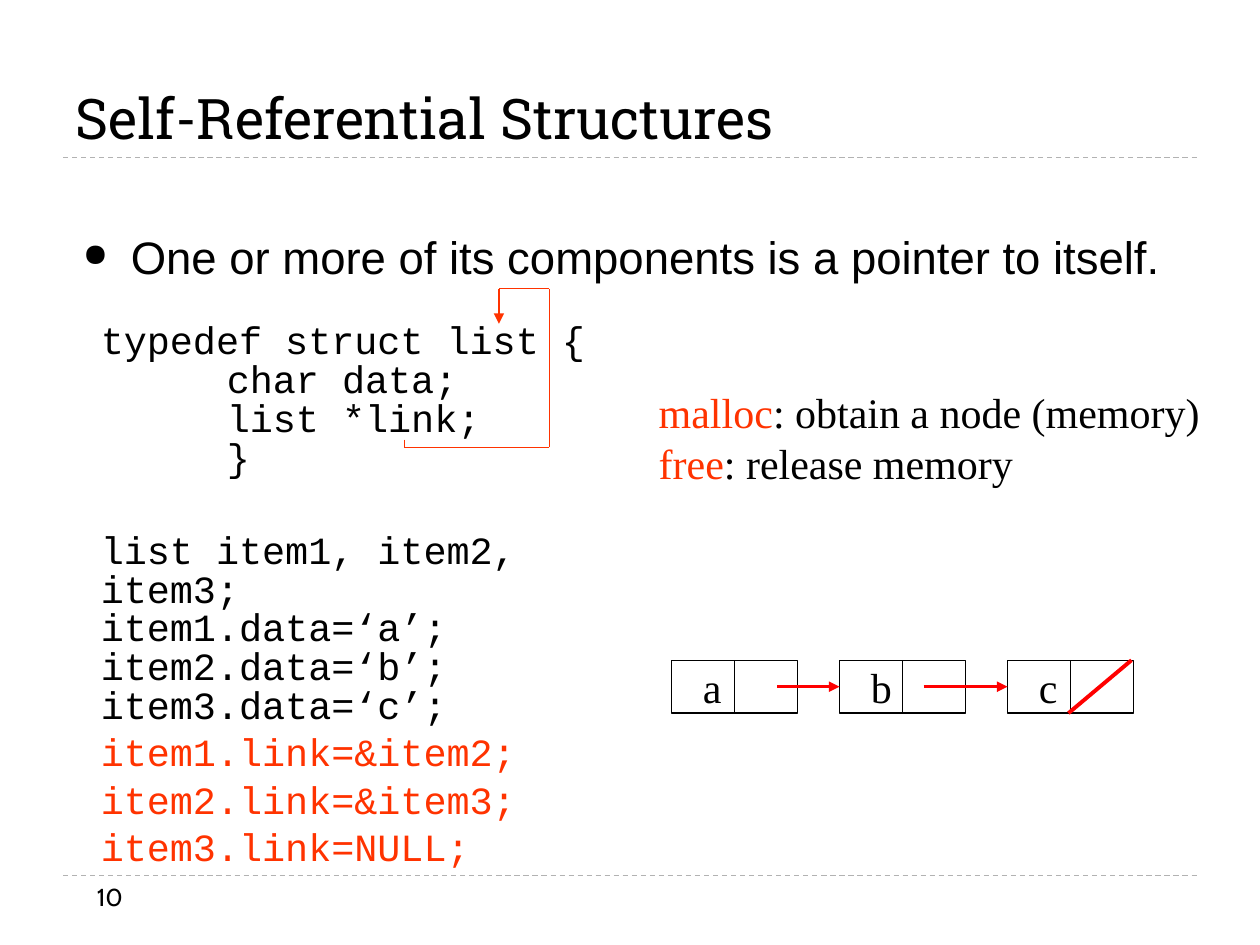
from itertools import pairwise

from lxml import etree
from pptx import Presentation
from pptx.dml.color import RGBColor
from pptx.enum.dml import MSO_LINE
from pptx.enum.shapes import MSO_CONNECTOR, MSO_SHAPE
from pptx.enum.text import MSO_ANCHOR, MSO_AUTO_SIZE, PP_ALIGN
from pptx.oxml.ns import qn
from pptx.util import Inches, Pt

STRAIGHT = MSO_CONNECTOR.STRAIGHT
RECTANGLE = MSO_SHAPE.RECTANGLE
DASH = MSO_LINE.DASH
LEFT = PP_ALIGN.LEFT
TOP, BOTTOM = MSO_ANCHOR.TOP, MSO_ANCHOR.BOTTOM
NO_AUTOFIT = MSO_AUTO_SIZE.NONE
TOP_SIDE, LEFT_SIDE, BOTTOM_SIDE = 0, 1, 2

COLORS = {"text": "000000", "accent": "FF3300", "link": "FF0000", "rule": "B2B2B2"}
SERIF = "Times New Roman"
MONO = "Courier New"

WIDTH, HEIGHT = 10, 7.5
MARGIN = WIDTH / 20
NODE_LEFT, NODE_TOP = 5.33, 5.24
NODE_WIDTH, NODE_HEIGHT = 1, 0.42
NODE_PITCH = 4 / 3

DECLARATION = "typedef struct list {\n\tchar data;\n\tlist *link;\n\t}"
ASSIGNMENTS = "list item1, item2, item3;\nitem1.data=‘a’;\nitem2.data=‘b’;\nitem3.data=‘c’;"
LINKS = ["item1.link=&item2;", "item2.link=&item3;", "item3.link=NULL;"]


def rgb(name):
    return RGBColor.from_string(COLORS[name])


def write(paragraph, text, *, font, size, color="text", spacing=None, before=0):
    paragraph.alignment = LEFT
    paragraph.space_before = Pt(before)
    if spacing:
        paragraph.line_spacing = spacing
    for index, line in enumerate(text.split("\n")):
        if index:
            paragraph.add_line_break()
        run = paragraph.add_run()
        run.text = line
        run.font.name = font
        run.font.size = Pt(size)
        run.font.color.rgb = rgb(color)


def add_frame(slide, left, top, width, height, wrap=True):
    box = slide.shapes.add_textbox(*map(Inches, (left, top, width, height)))
    box.text_frame.word_wrap = wrap
    box.text_frame.vertical_anchor = TOP
    return box.text_frame


def next_paragraph(frame):
    first = frame.paragraphs[0]
    return frame.add_paragraph() if first.runs else first


def add_line(slide, start, end, color, weight=0.75, dash=None, arrow=False):
    line = slide.shapes.add_connector(STRAIGHT, *map(Inches, (*start, *end)))
    line.line.color.rgb = rgb(color)
    line.line.width = Pt(weight)
    if dash:
        line.line.dash_style = dash
    properties = line.element.spPr
    if arrow:
        etree.SubElement(properties.find(qn("a:ln")), qn("a:tailEnd"), type="triangle")
    etree.SubElement(properties, qn("a:effectLst"))
    return line


def add_title(slide, text):
    title = slide.shapes.title
    title.left, title.top, title.width, title.height = map(
        Inches, (MARGIN, 0.25, WIDTH - 2 * MARGIN, 1))
    frame = title.text_frame
    frame.auto_size = NO_AUTOFIT
    frame.vertical_anchor = BOTTOM
    write(frame.paragraphs[0], text, font="Roboto Slab", size=32)


def add_bullet(slide, text):
    paragraph = add_frame(slide, 0.56, 1.77, 8.99, 0.82).paragraphs[0]
    write(paragraph, text, font="Arial", size=26, before=3)
    properties = paragraph._p.get_or_add_pPr()
    properties.set("marL", str(Inches(0.38)))
    properties.set("indent", str(-Inches(0.38)))
    bullet_color = etree.SubElement(properties, qn("a:buClr"))
    etree.SubElement(bullet_color, qn("a:srgbClr"), val=COLORS["text"])
    etree.SubElement(properties, qn("a:buSzPct"), val="70000")
    etree.SubElement(properties, qn("a:buChar"), char="●")


def add_code(slide):
    frame = add_frame(slide, MARGIN, 2.52, 4.61, 4.71)
    frame.margin_left = Inches(0.3)
    blocks = [(DECLARATION, "text", 5), (ASSIGNMENTS, "text", 31)]
    blocks += [(link, "accent", 5) for link in LINKS]
    for text, color, before in blocks:
        paragraph = next_paragraph(frame)
        write(paragraph, text, font=MONO, size=22, color=color,
              spacing=0.84, before=before)
        tabs = etree.SubElement(paragraph._p.get_or_add_pPr(), qn("a:tabLst"))
        etree.SubElement(tabs, qn("a:tab"), pos=str(Inches(1)), algn="l")


def add_self_pointer(slide):
    route = [(3.21, 3.49), (3.21, 3.55), (4.36, 3.55),
             (4.36, 2.29), (3.96, 2.29), (3.96, 2.57)]
    for start, end in pairwise(route):
        add_line(slide, start, end, "accent", arrow=end == route[-1])


def add_memory_notes(slide):
    frame = add_frame(slide, 5.13, 3.02, 4.5, 0.9, wrap=False)
    notes = [("malloc", ": obtain a node (memory)"), ("free", ": release memory")]
    for function, meaning in notes:
        paragraph = next_paragraph(frame)
        write(paragraph, function, font=SERIF, size=24, color="accent")
        write(paragraph, meaning, font=SERIF, size=24)


def add_node(slide, left, value):
    node = slide.shapes.add_shape(
        RECTANGLE, *map(Inches, (left, NODE_TOP, NODE_WIDTH, NODE_HEIGHT)))
    node.shadow.inherit = False
    node.fill.background()
    node.line.color.rgb = rgb("text")
    node.line.width = Pt(0.75)
    middle = left + NODE_WIDTH / 2
    divider = add_line(slide, (middle, NODE_TOP),
                       (middle, NODE_TOP + NODE_HEIGHT), "text")
    divider.begin_connect(node, TOP_SIDE)
    divider.end_connect(node, BOTTOM_SIDE)
    label = add_frame(slide, left + 0.15, 5.2, 0.35, 0.5, wrap=False)
    write(label.paragraphs[0], value, font=SERIF, size=24)
    return node


def add_linked_list(slide):
    lefts = [NODE_LEFT + index * NODE_PITCH for index in range(3)]
    nodes = [add_node(slide, left, value) for left, value in zip(lefts, "abc")]
    center = NODE_TOP + NODE_HEIGHT / 2
    for start, left, node in zip((6.17, 7.33), lefts[1:], nodes[1:]):
        link = add_line(slide, (start, center), (left, center), "link", 2, arrow=True)
        link.end_connect(node, LEFT_SIDE)
    add_line(slide, (8.98, NODE_TOP), (8.48, NODE_TOP + NODE_HEIGHT), "link", 2.25)


def main():
    deck = Presentation()
    deck.slide_width, deck.slide_height = Inches(WIDTH), Inches(HEIGHT)
    slide = deck.slides.add_slide(deck.slide_layouts[5])
    for height in (6.95, 1.25):
        add_line(slide, (MARGIN, height), (WIDTH - MARGIN, height), "rule", dash=DASH)
    add_title(slide, "Self-Referential Structures")
    add_code(slide)
    add_self_pointer(slide)
    add_linked_list(slide)
    add_memory_notes(slide)
    add_bullet(slide, "One or more of its components is a pointer to itself.")
    page_number = add_frame(slide, 0.67, 6.95, 2.17, 0.4)
    write(page_number.paragraphs[0], "10", font="Cabin", size=14)
    deck.save("out.pptx")


if __name__ == "__main__":
    main()
